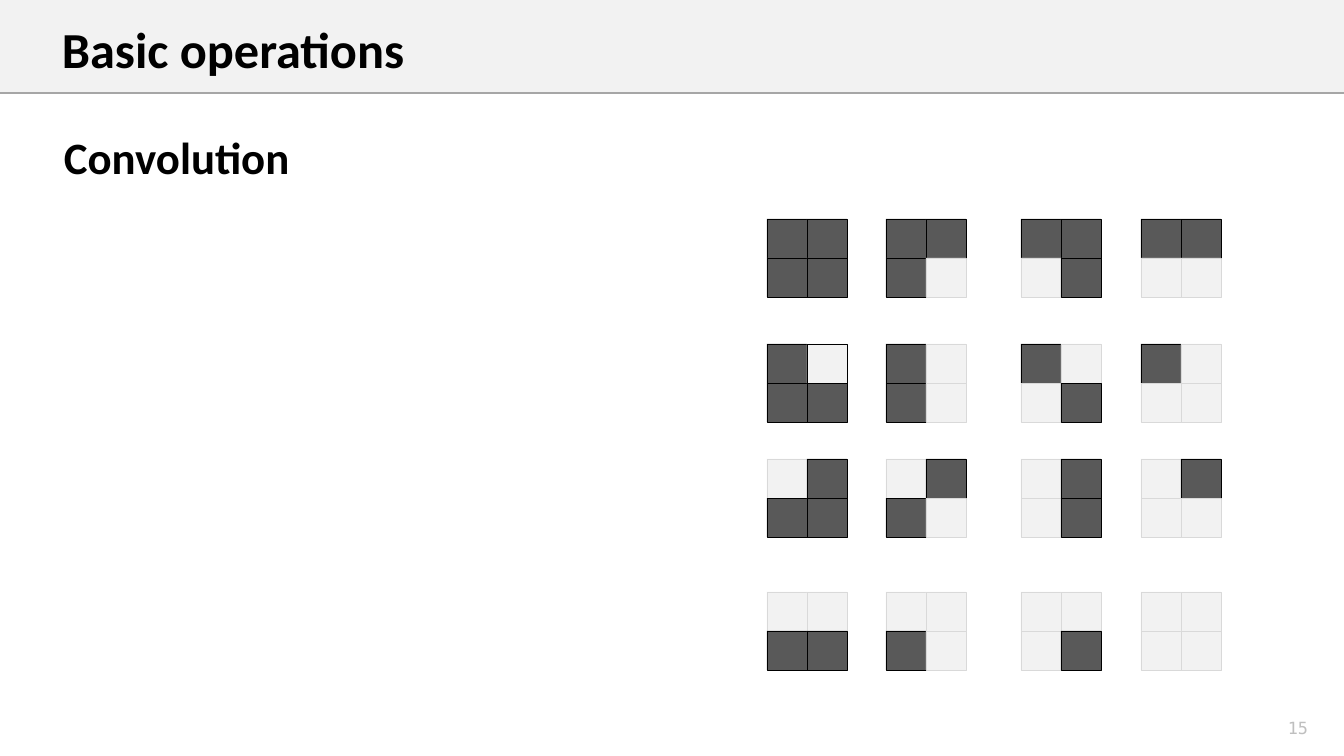
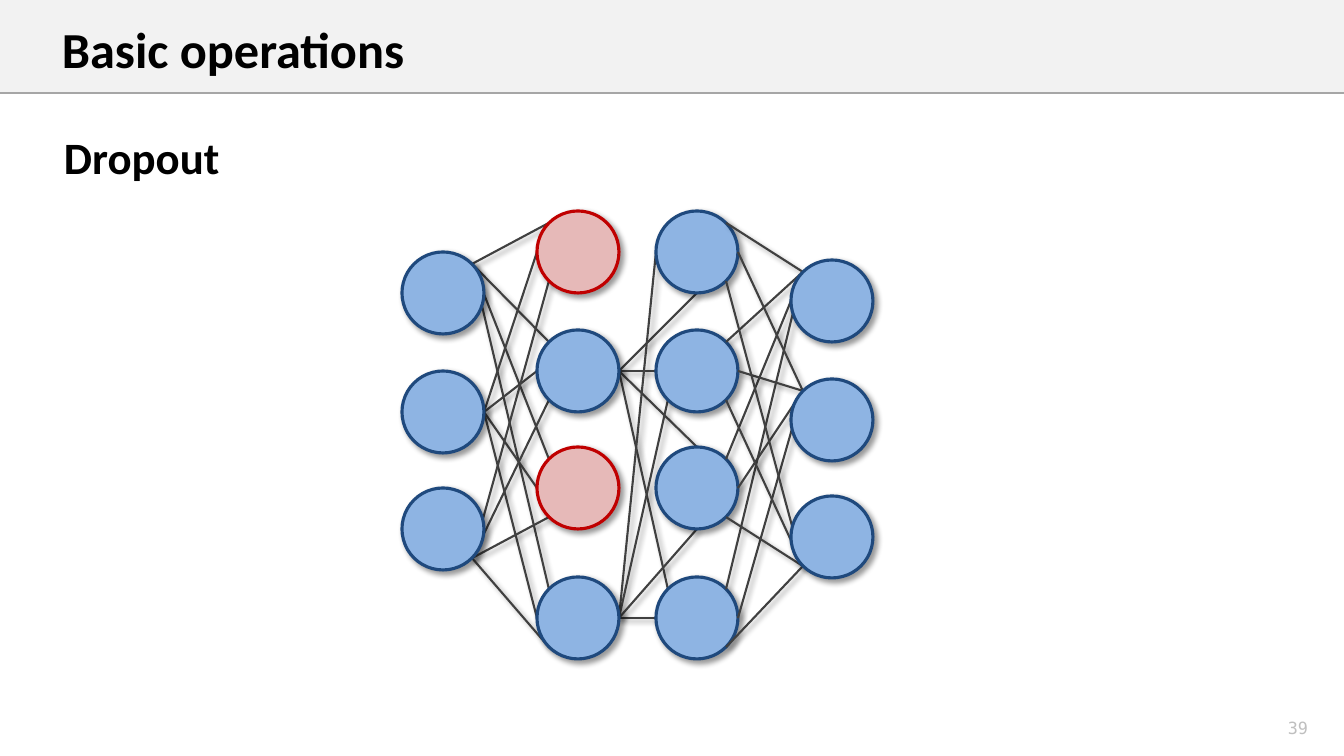
from itertools import product

from lxml import etree
from pptx import Presentation
from pptx.dml.color import RGBColor
from pptx.enum.shapes import MSO_CONNECTOR, MSO_SHAPE
from pptx.enum.text import MSO_ANCHOR, PP_ALIGN
from pptx.oxml.ns import qn
from pptx.util import Emu, Pt

SLIDE_WIDTH, SLIDE_HEIGHT = 1344, 756
EMU_PER_PX = 12192000 / SLIDE_WIDTH

BLACK, DARK, LIGHT, PALE_LINE = "000000", "595959", "F2F2F2", "D9D9D9"
RULE, PAGE_GREY, LINK = "A6A6A6", "BFBFBF", "404040"
ACTIVE = ("8EB4E3", "1F497D")
DROPPED = ("E6B9B8", "C00000")

TITLE = "Basic operations"
BAND_HEIGHT = 93

# Convolution: tile rows set the two upper cells, tile columns the two lower ones
TILE_COLUMNS = (767, 886, 1021, 1141)
TILE_ROWS = (219, 344, 459, 592)
CELL_PAIRS = ((1, 1), (1, 0), (0, 1), (0, 0))
CELL_WIDTH, CELL_HEIGHT = 40, 39
OUTLINED_CELL = (1, 0, 1)  # tile row, tile column, cell: light, yet edged in black

# Dropout: left edge of each layer and the tops of its nodes
NODE_SIZE = 82
LAYERS = (
    (402, (252, 371, 488)),
    (537, (211, 330, 447, 577)),
    (656, (211, 330, 447, 577)),
    (791, (260, 379, 496)),
)
DROPPED_NODES = {(1, 0), (1, 2)}

DIAGONAL = 0.71
SITES = {
    "top": (0, -1), "bottom": (0, 1), "left": (-1, 0), "right": (1, 0),
    "top left": (-DIAGONAL, -DIAGONAL), "top right": (DIAGONAL, -DIAGONAL),
    "bottom left": (-DIAGONAL, DIAGONAL), "bottom right": (DIAGONAL, DIAGONAL),
}
ALL = (0, 1, 2, 3)
# For each gap between layers: start nodes, start site, end nodes, end site
FANS = (
    (
        ((0,), "top right", ALL, "top left"),
        ((1,), "right", ALL, "left"),
        ((2,), "bottom right", ALL, "bottom left"),
    ),
    (
        ((1,), "right", (0,), "bottom"),
        ((1,), "right", (1,), "left"),
        ((1,), "right", (2,), "top"),
        ((1,), "right", (3,), "top left"),
        ((3,), "right", (0, 3), "left"),
        ((3,), "right", (1,), "bottom left"),
        ((3,), "right", (2,), "bottom"),
    ),
    (
        (ALL, "top right", (0,), "top left"),
        (ALL, "right", (1,), "top left"),
        (ALL, "bottom right", (2,), "bottom left"),
    ),
)


def px(value):
    return Emu(round(value * EMU_PER_PX))


def color(hex_text):
    return RGBColor.from_string(hex_text)


def set_shadow(shape, visible):
    """Replace the theme's effects by a soft shadow or by none."""
    effects = etree.SubElement(shape._element.spPr, qn("a:effectLst"))
    if visible:
        outer = etree.SubElement(
            effects, qn("a:outerShdw"), blurRad=str(Pt(4)), dist=str(Pt(3)),
            dir="2700000", algn="tl", rotWithShape="0")
        black = etree.SubElement(outer, qn("a:srgbClr"), val=BLACK)
        etree.SubElement(black, qn("a:alpha"), val="40000")


def add_text(slide, text, box, *, size, font="Calibri", text_color=BLACK, bold=False,
             align=PP_ALIGN.LEFT, anchor=MSO_ANCHOR.TOP):
    frame = slide.shapes.add_textbox(*map(px, box)).text_frame
    frame.word_wrap = True
    frame.vertical_anchor = anchor
    paragraph = frame.paragraphs[0]
    paragraph.text = text
    paragraph.alignment = align
    paragraph.font.name = font
    paragraph.font.size = Pt(size)
    paragraph.font.bold = bold
    paragraph.font.color.rgb = color(text_color)


def add_figure(shapes, kind, box, fill, line=None, line_width=1, shadow=False):
    shape = shapes.add_shape(kind, *map(px, box))
    shape.fill.solid()
    shape.fill.fore_color.rgb = color(fill)
    if line:
        shape.line.color.rgb = color(line)
        shape.line.width = Pt(line_width)
    else:
        shape.line.fill.background()
    set_shadow(shape, shadow)


def add_line(shapes, start, end, line, line_width, shadow=False):
    connector = shapes.add_connector(MSO_CONNECTOR.STRAIGHT, *map(px, (*start, *end)))
    connector.line.color.rgb = color(line)
    connector.line.width = Pt(line_width)
    set_shadow(connector, shadow)


def add_slide(presentation, heading, page_number):
    """Add a slide with the title band, heading and page number."""
    slide = presentation.slides.add_slide(presentation.slide_layouts[6])
    add_figure(slide.shapes, MSO_SHAPE.RECTANGLE, (0, 0, SLIDE_WIDTH, BAND_HEIGHT), LIGHT)
    add_line(slide.shapes, (0, BAND_HEIGHT), (SLIDE_WIDTH, BAND_HEIGHT), RULE, 1)
    add_text(slide, page_number, (1254, 712, 88, 31), size=12, font="DejaVu Sans Mono",
             text_color=PAGE_GREY, align=PP_ALIGN.CENTER, anchor=MSO_ANCHOR.MIDDLE)
    add_text(slide, TITLE, (52, 13, 1199, 72), size=36, bold=True)
    add_text(slide, heading, (54, 125, 848, 65), size=32, bold=True)
    return slide


def add_tile(slide, row, column):
    """Add one two-by-two pattern as a group."""
    shapes = slide.shapes.add_group_shape().shapes
    for cell, filled in enumerate(CELL_PAIRS[row] + CELL_PAIRS[column]):
        cell_row, cell_column = divmod(cell, 2)
        box = (TILE_COLUMNS[column] + cell_column * CELL_WIDTH,
               TILE_ROWS[row] + cell_row * CELL_HEIGHT, CELL_WIDTH, CELL_HEIGHT)
        edged = filled or (row, column, cell) == OUTLINED_CELL
        add_figure(shapes, MSO_SHAPE.RECTANGLE, box, DARK if filled else LIGHT,
                   BLACK if edged else PALE_LINE, 0.25)


def site_point(layer, node, site):
    left, tops = LAYERS[layer]
    radius = NODE_SIZE / 2
    across, down = SITES[site]
    return left + radius * (1 + across), tops[node] + radius * (1 + down)


def add_links(shapes, gap):
    for starts, start_site, ends, end_site in FANS[gap]:
        for start, end in product(starts, ends):
            add_line(shapes, site_point(gap, start, start_site),
                     site_point(gap + 1, end, end_site), LINK, 1.5, shadow=True)


def add_nodes(shapes, layer):
    left, tops = LAYERS[layer]
    for node, top in enumerate(tops):
        fill, line = DROPPED if (layer, node) in DROPPED_NODES else ACTIVE
        add_figure(shapes, MSO_SHAPE.OVAL, (left, top, NODE_SIZE, NODE_SIZE),
                   fill, line, 2.25, shadow=True)


def build_convolution(presentation):
    slide = add_slide(presentation, "Convolution", "15")
    for row, column in product(range(len(TILE_ROWS)), range(len(TILE_COLUMNS))):
        add_tile(slide, row, column)


def build_dropout(presentation):
    slide = add_slide(presentation, "Dropout", "39")
    shapes = slide.shapes.add_group_shape().shapes
    stacking = ((add_links, 0), (add_nodes, 0), (add_links, 1), (add_nodes, 1),
                (add_nodes, 2), (add_links, 2), (add_nodes, 3))
    for add_part, index in stacking:
        add_part(shapes, index)


def main():
    presentation = Presentation()
    presentation.slide_width = px(SLIDE_WIDTH)
    presentation.slide_height = px(SLIDE_HEIGHT)
    build_convolution(presentation)
    build_dropout(presentation)
    presentation.save("out.pptx")


if __name__ == "__main__":
    main()
